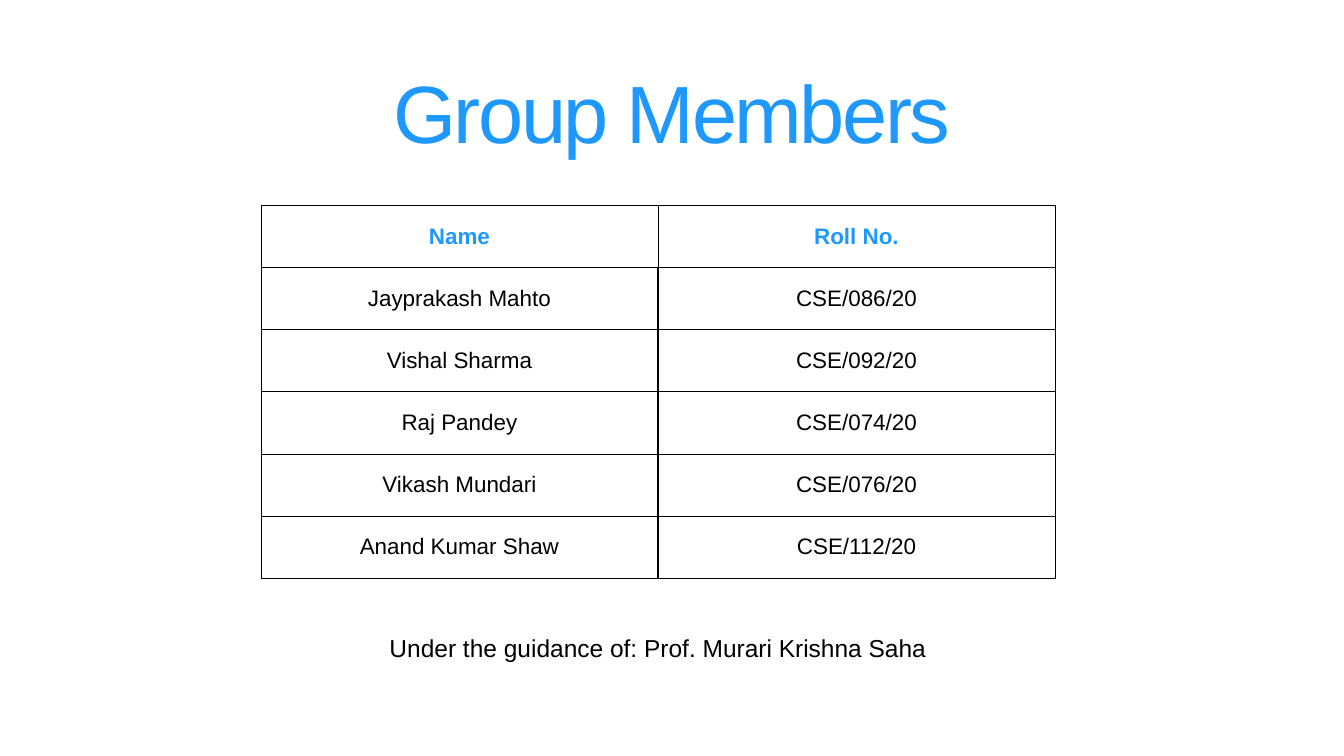
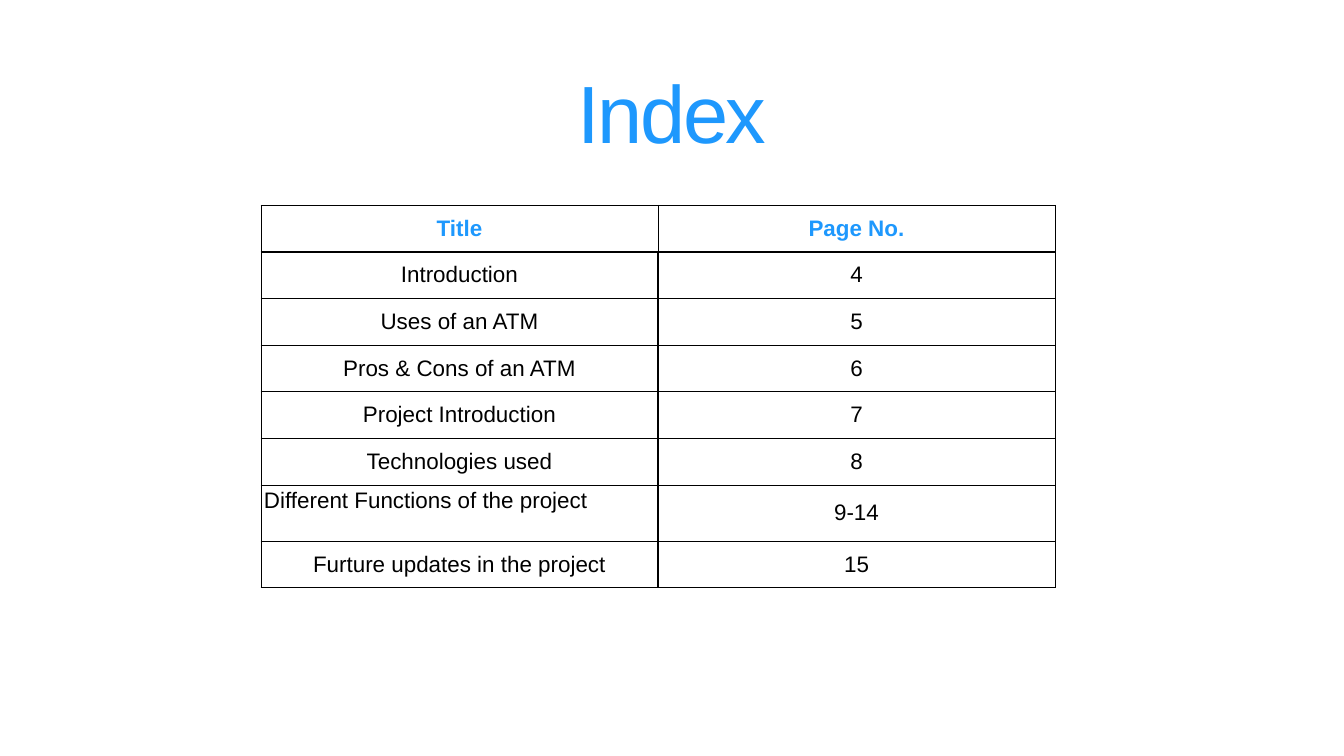
from lxml import etree
from pptx import Presentation
from pptx.dml.color import RGBColor
from pptx.enum.text import MSO_ANCHOR, MSO_AUTO_SIZE, PP_ALIGN
from pptx.oxml.ns import qn
from pptx.util import Inches, Pt

CENTER, LEFT = PP_ALIGN.CENTER, PP_ALIGN.LEFT
TOP, MIDDLE, BOTTOM = MSO_ANCHOR.TOP, MSO_ANCHOR.MIDDLE, MSO_ANCHOR.BOTTOM
NO_AUTOFIT = MSO_AUTO_SIZE.NONE

FONT = "Arial"
BLACK, BLUE, MAGENTA = "000000", "1E98FD", "FF00F7"
INSET = Inches(0.06)
MARGINS = {f"margin_{side}": INSET for side in ("left", "top", "right", "bottom")}

# Square grid of 48 columns by 27 rows
SLIDE_W, SLIDE_H = Inches(26.67), Inches(15)
UNIT = SLIDE_W / 48
TITLE_BOX = (2.5, -1.76, 43, 7.63)
TABLE_BOX = (9.32, 7.33, 28.36, 13.32)
GUIDE_BOX = (2, 22.48, 43, 1.37)

# Border widths in points
HEADER_BORDERS = {"lnL": 1, "lnR": 1, "lnT": 1, "lnB": 3}
FIRST_COLUMN_BORDERS = {"lnL": 1, "lnR": 3, "lnT": 1, "lnB": 1}
LAST_COLUMN_BORDERS = {"lnL": 1, "lnR": 1, "lnT": 1, "lnB": 1}

LONG_ENTRY = "Different Functions of the project"
PAGES = [
    {
        "title": "Group Members",
        "rows": [
            ("Name", "Roll No."),
            ("Jayprakash Mahto", "CSE/086/20"),
            ("Vishal Sharma", "CSE/092/20"),
            ("Raj Pandey", "CSE/074/20"),
            ("Vikash Mundari", "CSE/076/20"),
            ("Anand Kumar Shaw", "CSE/112/20"),
        ],
        "guide": "Under the guidance of: Prof. Murari Krishna Saha",
    },
    {
        "title": "Index",
        "rows": [
            ("Title", "Page No."),
            ("Introduction", "4"),
            ("Uses of an ATM", "5"),
            ("Pros & Cons of an ATM", "6"),
            ("Project Introduction", "7"),
            ("Technologies used", "8"),
            (LONG_ENTRY, "9-14"),
            ("Furture updates in the project", "15"),
        ],
    },
]


def rgb(value):
    return RGBColor.from_string(value)


def write(frame, text, size, bold=False, accent=False, align=CENTER):
    """Put one run in the frame; accent text runs from blue to magenta."""
    paragraph = frame.paragraphs[0]
    paragraph.alignment = align
    run = paragraph.add_run()
    run.text = text
    for name, value in {"name": FONT, "size": Pt(size), "bold": bold}.items():
        setattr(run.font, name, value)
    fill = run.font.fill
    if accent:
        fill.gradient()
        fill.gradient_angle = 294
        for stop, color in zip(fill.gradient_stops, (BLUE, MAGENTA)):
            stop.color.rgb = rgb(color)
    else:
        fill.solid()
        fill.fore_color.rgb = rgb(BLACK)
    return run


prs = Presentation()
prs.slide_width, prs.slide_height = SLIDE_W, SLIDE_H
title_only = prs.slide_layouts[5]

for page in PAGES:
    slide = prs.slides.add_slide(title_only)

    title = slide.shapes.title
    for name, units in zip(("left", "top", "width", "height"), TITLE_BOX):
        setattr(title, name, round(units * UNIT))
    title_format = {"auto_size": NO_AUTOFIT, "word_wrap": True,
                    "vertical_anchor": BOTTOM, **MARGINS}
    for name, value in title_format.items():
        setattr(title.text_frame, name, value)
    heading = write(title.text_frame, page["title"], 116, accent=True)
    heading.font._element.set("spc", "-350")
    title.text_frame.paragraphs[0].line_spacing = 0.9

    rows = page["rows"]
    place = [round(units * UNIT) for units in TABLE_BOX]
    table = slide.shapes.add_table(len(rows), 2, *place).table
    table.first_row = table.horz_banding = False
    for r, entries in enumerate(rows):
        for c, entry in enumerate(entries):
            cell = table.cell(r, c)
            is_header, is_long = r == 0, entry == LONG_ENTRY
            cell_format = {"vertical_anchor": TOP if is_long else MIDDLE, **MARGINS}
            for name, value in cell_format.items():
                setattr(cell, name, value)
            write(cell.text_frame, entry, 32, bold=is_header, accent=is_header,
                  align=LEFT if is_long else CENTER)
            if is_long:
                table.rows[r].height = round(2 * UNIT)

            cell.fill.background()
            column_borders = LAST_COLUMN_BORDERS if c else FIRST_COLUMN_BORDERS
            borders = HEADER_BORDERS if is_header else column_borders
            properties = cell._tc.get_or_add_tcPr()
            for position, (edge, width) in enumerate(borders.items()):
                line = etree.Element(qn(f"a:{edge}"), w=str(Pt(width)))
                solid = etree.SubElement(line, qn("a:solidFill"))
                etree.SubElement(solid, qn("a:srgbClr"), val=BLACK)
                properties.insert(position, line)

    if "guide" in page:
        place = [round(units * UNIT) for units in GUIDE_BOX]
        guide = slide.shapes.add_textbox(*place).text_frame
        for name, value in {"word_wrap": True, **MARGINS}.items():
            setattr(guide, name, value)
        write(guide, page["guide"], 35)

prs.save("out.pptx")
